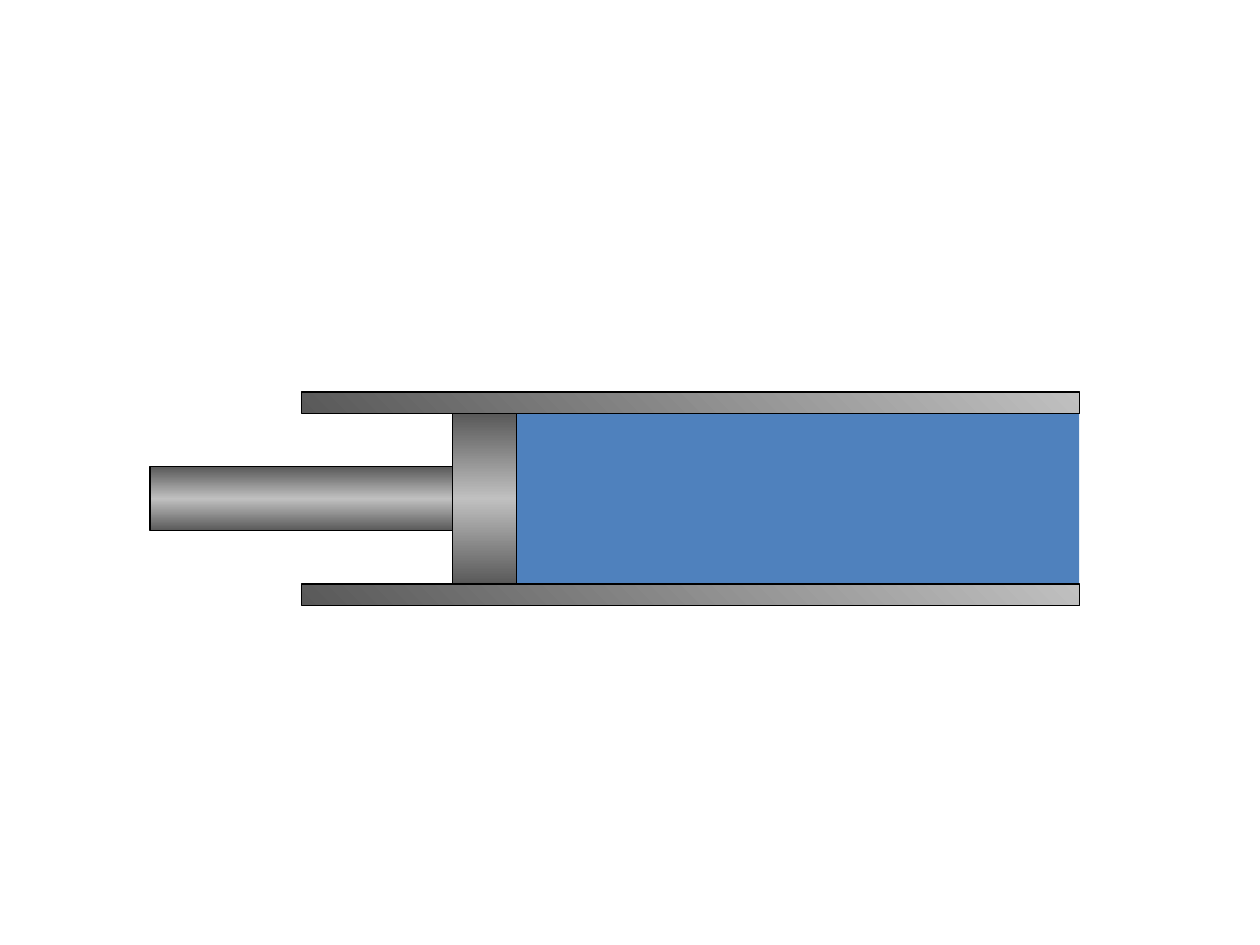
from lxml.etree import SubElement
from pptx import Presentation
from pptx.dml.color import RGBColor
from pptx.enum.shapes import MSO_SHAPE as Shape
from pptx.oxml.ns import qn
from pptx.util import Pt

THEME = {
    "fluid": "4F81BD",
    "outline": "000000",
    "line_width": 0.75,
    "wall": (315, [(0, "595959"), (100, "C0C0C0")]),
    "metal": (90, [(0, "595959"), (50, "C0C0C0"), (100, "595959")]),
}

# Cylinder dimensions, in points
AXIS = 285
WALL = 12.2
BORE = 8 * WALL
ROD = PISTON = 3 * WALL
ROD_LEFT, WALL_LEFT, PISTON_LEFT, RIGHT = 85.8, 172.2, 258.6, 616.7
FLUID_LEFT = PISTON_LEFT + PISTON
WALL_OFFSET = (BORE + WALL) / 2

# Parts from back to front: left, right, centre height, thickness, fill
PARTS = [
    (FLUID_LEFT, RIGHT, AXIS, BORE, "fluid"),
    (WALL_LEFT, RIGHT, AXIS - WALL_OFFSET, WALL, "wall"),
    (WALL_LEFT, RIGHT, AXIS + WALL_OFFSET, WALL, "wall"),
    (ROD_LEFT, PISTON_LEFT, AXIS, ROD, "metal"),
    (PISTON_LEFT, FLUID_LEFT, AXIS, BORE, "metal"),
]


def fill_gradient(shape, angle, stops):
    shape.fill.gradient()
    gradient = shape.fill._fill._gradFill
    for child in list(gradient):
        gradient.remove(child)
    stop_list = SubElement(gradient, qn("a:gsLst"))
    for position, color in stops:
        stop = SubElement(stop_list, qn("a:gs"), pos=str(position * 1000))
        SubElement(stop, qn("a:srgbClr"), val=color)
    SubElement(gradient, qn("a:lin"), ang=str(angle * 60000), scaled="0")


def add_part(group, left, right, center, thickness, style):
    shape = group.shapes.add_shape(
        Shape.RECTANGLE, Pt(left), Pt(center - thickness / 2),
        Pt(right - left), Pt(thickness))
    shape.shadow.inherit = False
    if style == "fluid":
        shape.fill.solid()
        shape.fill.fore_color.rgb = RGBColor.from_string(THEME["fluid"])
        shape.line.fill.background()
    else:
        fill_gradient(shape, *THEME[style])
        shape.line.color.rgb = RGBColor.from_string(THEME["outline"])
        shape.line.width = Pt(THEME["line_width"])


def main():
    presentation = Presentation()
    presentation.slide_width, presentation.slide_height = Pt(720), Pt(540)
    slide = presentation.slides.add_slide(presentation.slide_layouts[6])
    # Piston in a cylinder, as one group
    cylinder = slide.shapes.add_group_shape()
    for part in PARTS:
        add_part(cylinder, *part)
    presentation.save("out.pptx")


if __name__ == "__main__":
    main()
